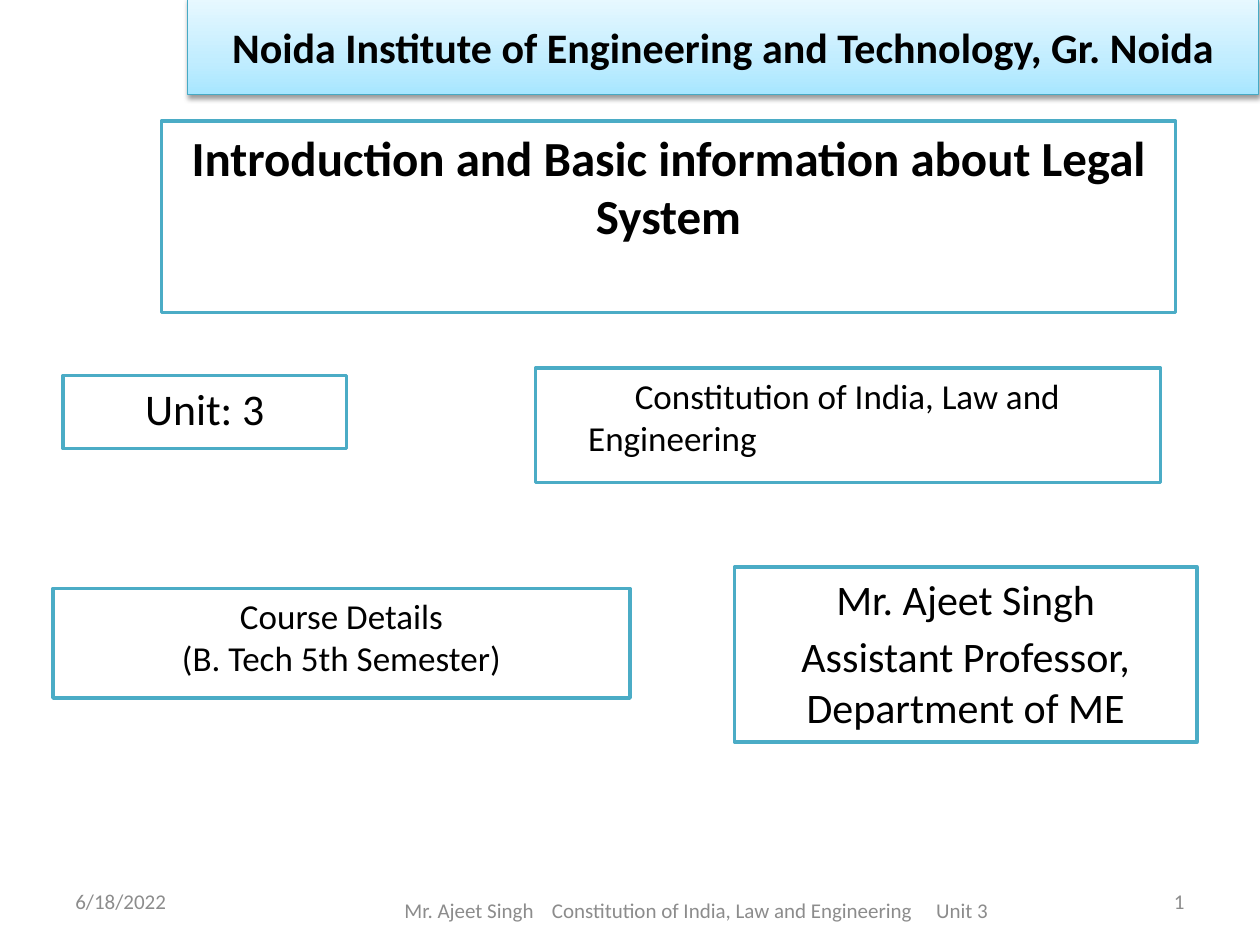
import copy
import pptx
import pptx.util
import pptx.dml.color
import pptx.enum.shapes
import pptx.enum.text
import pptx.oxml
import pptx.oxml.ns

ALIGN = pptx.enum.text.PP_ALIGN
ANCHOR = pptx.enum.text.MSO_ANCHOR
NS = pptx.oxml.ns.nsdecls("a")
THEME = {
    "face": "Calibri",
    "ink": "000000",
    "mute": "8C8C8C",
    "paper": "FFFFFF",
    "edge": "4BACC6",
    "rim": "46AAC5",
    "glow": [(0, "A7E6FF"), (0.35, "C1EDFF"), (1, "E7F8FF")],
    "foot": 12,
    "body": 20,
    "name": 24,
    "unit": 25,
    "title": 28,
}


def color(code):
    return pptx.dml.color.RGBColor.from_string(code)


def assign(item, values):
    for key, value in values.items():
        setattr(item, key, value)


class Deck:
    COLS, ROWS = 100, 75

    def __init__(self, theme):
        self.theme = theme
        self.show = pptx.Presentation()
        size = {"slide_width": pptx.util.Inches(10), "slide_height": pptx.util.Inches(7.5)}
        assign(self.show, size)
        self.slide = self.show.slides.add_slide(self.show.slide_layouts[6])

    def place(self, left, top, width, height):
        col = self.show.slide_width / self.COLS
        row = self.show.slide_height / self.ROWS
        return [round(n) for n in (left * col, top * row, width * col, height * row)]

    def label(self, shape, lines, size, ink="ink", bold=False, align=ALIGN.CENTER, anchor=ANCHOR.TOP):
        frame = shape.text_frame
        assign(frame, {"word_wrap": True, "vertical_anchor": anchor})
        style = {"name": self.theme["face"], "size": pptx.util.Pt(self.theme[size]), "bold": bold}
        for i, line in enumerate(lines):
            para = frame.add_paragraph() if i else frame.paragraphs[0]
            assign(para, {"text": line, "alignment": align})
            if i:
                para.space_before = pptx.util.Pt(4)
            for run in para.runs:
                assign(run.font, style)
                run.font.color.rgb = color(self.theme[ink])
        return frame

    def rect(self, area, edge, width):
        kind = pptx.enum.shapes.MSO_SHAPE.RECTANGLE
        shape = self.slide.shapes.add_shape(kind, *self.place(*area))
        shape.shadow.inherit = False
        shape.line.color.rgb = color(self.theme[edge])
        shape.line.width = pptx.util.Pt(width)
        return shape

    def card(self, area, lines, size, **look):
        shape = self.rect(area, "edge", 2)
        shape.fill.solid()
        shape.fill.fore_color.rgb = color(self.theme["paper"])
        return self.label(shape, lines, size, **look)

    def banner(self, area, text):
        shape = self.rect(area, "rim", 0.75)
        fill = shape.fill
        fill.gradient()
        fill.gradient_angle = 90
        props = shape.element.spPr
        stops = props.find(".//" + pptx.oxml.ns.qn("a:gsLst"))
        stops.append(copy.deepcopy(stops[-1]))
        for stop, (spot, code) in zip(fill.gradient_stops, self.theme["glow"]):
            stop.position = spot
            stop.color.rgb = color(code)
        shade = pptx.oxml.parse_xml(
            f'<a:outerShdw {NS} blurRad="39370" dist="20320" dir="5400000" rotWithShape="0">'
            '<a:srgbClr val="000000"><a:alpha val="38000"/></a:srgbClr></a:outerShdw>')
        props.find(pptx.oxml.ns.qn("a:effectLst")).append(shade)
        self.label(shape, [text], "name", bold=True, anchor=ANCHOR.MIDDLE)

    def foot(self, area, text, align):
        shape = self.slide.shapes.add_textbox(*self.place(*area))
        return self.label(shape, [text], "foot", "mute", align=align, anchor=ANCHOR.MIDDLE)

    def tabs(self, para, *stops):
        marks = "".join(f'<a:tab pos="{pptx.util.Inches(n)}" algn="l"/>' for n in stops)
        para._p.get_or_add_pPr().append(pptx.oxml.parse_xml(f"<a:tabLst {NS}>{marks}</a:tabLst>"))

    def indent(self, para, left, first):
        props = para._p.get_or_add_pPr()
        for key, value in {"marL": left, "indent": first}.items():
            props.set(key, str(pptx.util.Inches(value)))


def main():
    deck = Deck(THEME)
    deck.foot((71.7, 69.5, 23.3, 4), "1", ALIGN.RIGHT)
    deck.foot((5, 69.5, 23.3, 4), "6/18/2022", ALIGN.LEFT)
    note = deck.foot(
        (24.2, 69.5, 62.3, 5.5),
        "Mr. Ajeet Singh\tConstitution of India, Law and Engineering\tUnit 3", ALIGN.LEFT)
    note.margin_left = pptx.util.Inches(0.79)
    deck.tabs(note.paragraphs[0], 1.17, 4.22)

    deck.banner((14.9, -0.1, 85, 7.6), "Noida Institute of Engineering and Technology, Gr. Noida")
    deck.card((12.8, 9.6, 80.5, 15.2),
              ["Introduction and Basic information about Legal System"], "title", bold=True)
    deck.card((58.3, 45, 36.7, 13.9),
              ["Mr. Ajeet Singh", "Assistant Professor, Department of ME"], "name")
    deck.card((5, 29.8, 22.5, 5.8), ["Unit: 3"], "unit")
    topic = deck.card((42.5, 29.2, 49.6, 9.1),
                      ["Constitution of India, Law and Engineering"], "body", align=ALIGN.LEFT)
    deck.indent(topic.paragraphs[0], 0.32, 0.37)
    deck.card((4.2, 46.7, 45.8, 8.7), ["Course Details\v(B. Tech 5th Semester)"], "body")
    deck.show.save("out.pptx")


if __name__ == "__main__":
    main()
